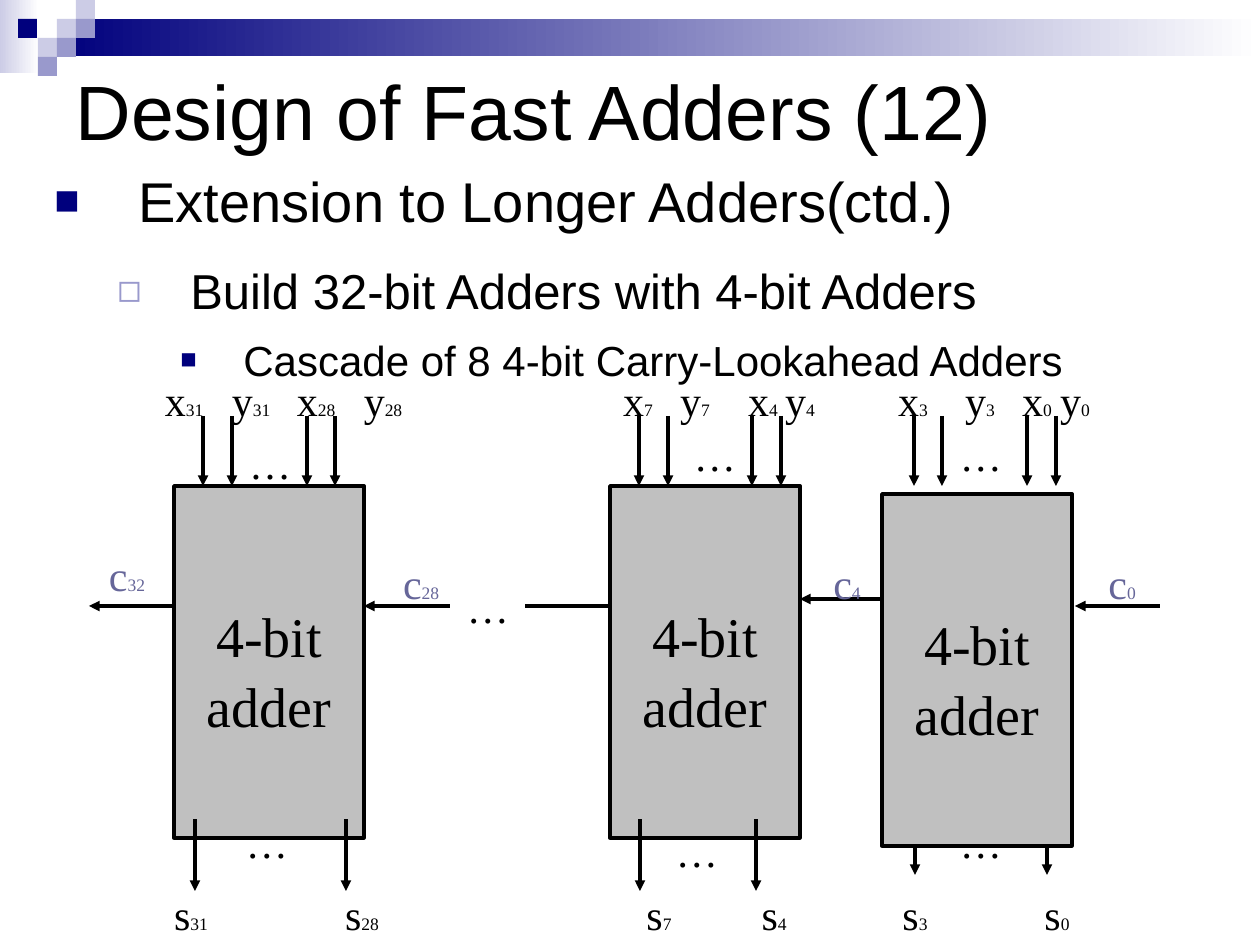
from lxml import etree
from pptx import Presentation
from pptx.dml.color import RGBColor
from pptx.enum.shapes import MSO_CONNECTOR, MSO_SHAPE
from pptx.enum.text import MSO_ANCHOR, PP_ALIGN
from pptx.oxml.ns import qn
from pptx.util import Emu, Pt

RECTANGLE = MSO_SHAPE.RECTANGLE
STRAIGHT = MSO_CONNECTOR.STRAIGHT
TOP, MIDDLE = MSO_ANCHOR.TOP, MSO_ANCHOR.MIDDLE
LEFT, CENTER = PP_ALIGN.LEFT, PP_ALIGN.CENTER
SANS, SERIF = "Arial", "Times New Roman"
BLACK, GRAY, WHITE = "000000", "C0C0C0", "FFFFFF"
NAVY, LILAC, PALE, CARRY = "00007D", "9999CC", "CCCCE6", "666699"
EMU_PER_PX = 914400 / 126
LINE_SPACING = 1.04

GRID = 19
SQUARES = [(57, 1, PALE), (76, 0, PALE), (76, 1, LILAC), (38, 2, PALE),
           (18, 1, NAVY), (57, 2, LILAC), (38, 3, LILAC)]
BULLETS = [
    ("Extension to Longer Adders(ctd.)", 32, 84, 84, 0, "■", NAVY, 75),
    ("Build 32-bit Adders with 4-bit Adders", 28, 136, 73, 14, "◻", LILAC, 80),
    ("Cascade of 8 4-bit Carry-Lookahead Adders", 24, 189, 63, 7, "■", NAVY, 65),
]
ADDERS = [(174, 486), (610, 486), (882, 494)]
INPUT_ARROWS = [203, 232, 307, 335, 639, 668, 752, 781, 914, 942, 1027, 1056]
OUTPUT_ARROWS = [(195, 819), (346, 819), (640, 819), (756, 819), (915, 803), (1047, 803)]
CARRY_ARROWS = [(174, 89, 606), (450, 364, 606), (886, 800, 599), (1160, 1075, 606)]
INPUT_LABELS = [("x", 31, 184), ("y", 31, 251), ("x", 28, 316), ("y", 28, 383),
                ("x", 7, 638), ("y", 7, 695), ("x", 4, 763), ("y", 4, 800),
                ("x", 3, 913), ("y", 3, 980), ("x", 0, 1037), ("y", 0, 1075)]
OUTPUT_LABELS = [(31, 191), (28, 362), (7, 659), (4, 774), (3, 915), (0, 1057)]
CARRY_LABELS = [(32, 127, 543), (28, 421, 551), (4, 847, 551), (0, 1122, 551)]
ELLIPSES = [(488, 575), (267, 810), (270, 431), (981, 810), (981, 423),
            (715, 423), (697, 819)]


def px(length):
    return Emu(round(length * EMU_PER_PX))


def color(value):
    return RGBColor.from_string(value)


def add_run(paragraph, text, size, font, fill=BLACK):
    run = paragraph.add_run()
    run.text = text
    run.font.size = Pt(size)
    run.font.name = font
    run.font.color.rgb = color(fill)


def add_rectangle(slide, left, top, width, height):
    shape = slide.shapes.add_shape(RECTANGLE, px(left), px(top), px(width), px(height))
    shape.shadow.inherit = False
    shape.line.fill.background()
    return shape


def add_solid(slide, left, top, width, height, fill):
    shape = add_rectangle(slide, left, top, width, height)
    shape.fill.solid()
    shape.fill.fore_color.rgb = color(fill)
    return shape


def add_gradient(slide, left, top, width, height, start):
    fill = add_rectangle(slide, left, top, width, height).fill
    fill.gradient()
    fill.gradient_angle = 0
    for stop, value, position in zip(fill.gradient_stops, (start, WHITE), (0, 1)):
        stop.color.rgb = color(value)
        stop.position = position


def add_line(slide, start, end, arrow=True):
    connector = slide.shapes.add_connector(
        STRAIGHT, px(start[0]), px(start[1]), px(end[0]), px(end[1]))
    connector.line.color.rgb = color(BLACK)
    connector.line.width = Pt(2)
    if arrow:
        line = connector.line._get_or_add_ln()
        etree.SubElement(line, qn("a:tailEnd"), type="triangle")
    etree.SubElement(connector._element.spPr, qn("a:effectLst"))


def add_text_box(slide, left, top, width, height):
    shape = slide.shapes.add_textbox(px(left), px(top), px(width), px(height))
    shape.text_frame.word_wrap = True
    return shape.text_frame


def add_label(slide, center, top, text, subscript="", fill=BLACK):
    width = 92
    frame = add_text_box(slide, center - width / 2, top, width, 63)
    paragraph = frame.paragraphs[0]
    paragraph.alignment = CENTER
    add_run(paragraph, text, 24, SERIF, fill)
    if subscript != "":
        add_run(paragraph, str(subscript), 10, SERIF, fill)


def add_adder(slide, left, top):
    shape = add_solid(slide, left, top, 190, 352, GRAY)
    shape.line.color.rgb = color(BLACK)
    shape.line.width = Pt(2)
    frame = shape.text_frame
    frame.word_wrap = True
    frame.vertical_anchor = TOP
    frame.margin_top = px(113)
    paragraph = frame.paragraphs[0]
    paragraph.alignment = CENTER
    paragraph.line_spacing = LINE_SPACING
    add_run(paragraph, "4-bit adder", 32, SERIF)


def add_bullets(slide):
    frame = add_text_box(slide, 42, 158, 1187, 230)
    for level, bullet in enumerate(BULLETS):
        text, size, margin, hanging, before, character, fill, percent = bullet
        paragraph = frame.add_paragraph() if level else frame.paragraphs[0]
        paragraph.level = level
        paragraph.line_spacing = LINE_SPACING
        paragraph.space_before = Pt(before)
        properties = paragraph._p.get_or_add_pPr()
        properties.set("marL", str(px(margin)))
        properties.set("indent", str(-px(hanging)))
        bullet_color = etree.SubElement(properties, qn("a:buClr"))
        etree.SubElement(bullet_color, qn("a:srgbClr"), val=fill)
        etree.SubElement(properties, qn("a:buSzPct"), val=str(percent * 1000))
        etree.SubElement(properties, qn("a:buFont"), typeface=SANS)
        etree.SubElement(properties, qn("a:buChar"), char=character)
        add_run(paragraph, text, size, SANS)


def format_title(slide):
    title = slide.shapes.title
    title.left, title.top, title.width, title.height = map(px, (63, 42, 1050, 136))
    title.text_frame.vertical_anchor = MIDDLE
    paragraph = title.text_frame.paragraphs[0]
    paragraph.alignment = LEFT
    add_run(paragraph, "Design of Fast Adders (12)", 44, SANS)


def add_decoration(slide):
    add_gradient(slide, 0, 0, 39, 73, PALE)
    add_gradient(slide, 57, GRID, 1203, 37, NAVY)
    for left, row, fill in SQUARES:
        add_solid(slide, left, row * GRID, GRID, GRID, fill)


def add_diagram(slide):
    for left, top in ADDERS[:2]:
        add_adder(slide, left, top)
    for x in INPUT_ARROWS:
        add_line(slide, (x, 416), (x, 486))
    for x, top in OUTPUT_ARROWS:
        add_line(slide, (x, top), (x, top + 72))
    for start, end, y in CARRY_ARROWS:
        add_line(slide, (start, y), (end, y))
    add_line(slide, (610, 606), (525, 606), arrow=False)
    add_adder(slide, *ADDERS[2])
    for letter, subscript, center in INPUT_LABELS:
        add_label(slide, center, 368, letter, subscript)
    for subscript, center in OUTPUT_LABELS:
        add_label(slide, center, 882, "s", subscript)
    for subscript, center, top in CARRY_LABELS:
        add_label(slide, center, top, "c", subscript, CARRY)
    for center, top in ELLIPSES:
        add_label(slide, center, top, "…")


def main():
    presentation = Presentation()
    presentation.slide_width, presentation.slide_height = px(1260), px(945)
    slide = presentation.slides.add_slide(presentation.slide_layouts[5])
    add_decoration(slide)
    format_title(slide)
    add_bullets(slide)
    add_diagram(slide)
    presentation.save("out.pptx")


if __name__ == "__main__":
    main()
